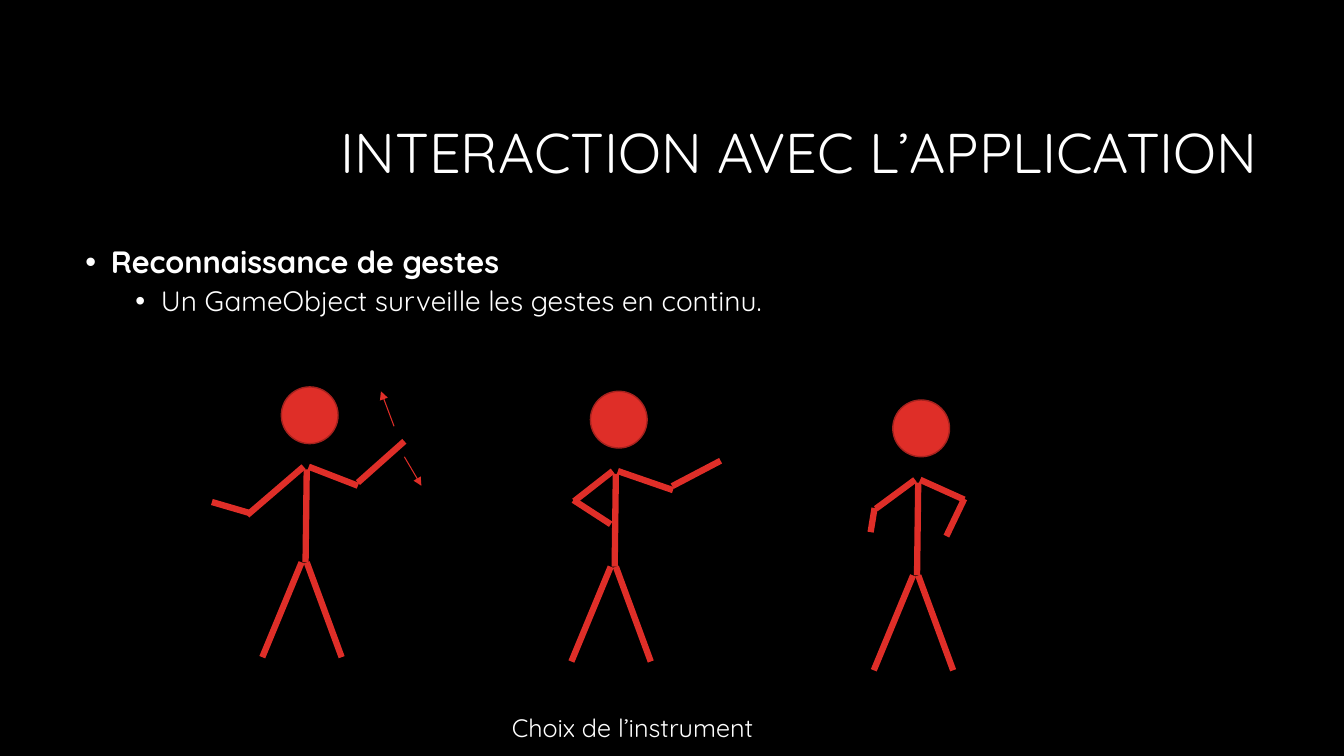
from lxml.etree import SubElement
from pptx import Presentation
from pptx.dml.color import RGBColor
from pptx.enum.shapes import MSO_CONNECTOR, MSO_SHAPE
from pptx.enum.text import MSO_ANCHOR, MSO_AUTO_SIZE, PP_ALIGN
from pptx.oxml.ns import qn
from pptx.util import Cm, Pt

RED = "DF2E28"
DARK_RED = "A5221E"


def write(paragraph, text, size, bold=False, align=PP_ALIGN.LEFT, line_spacing=1.0,
          space_before=0, bullet_indent=None):
    """Fill a paragraph; bullet_indent is the left margin in cm of a bulleted one."""
    run = paragraph.add_run()
    run.text = text
    run.font.name = "Quicksand"
    run.font.size = Pt(size)
    run.font.bold = bold
    run.font.color.rgb = RGBColor.from_string("FFFFFF")
    paragraph.alignment = align
    paragraph.line_spacing = line_spacing
    paragraph.space_before = Pt(space_before)
    if bullet_indent is not None:
        properties = paragraph._p.get_or_add_pPr()
        properties.set("marL", str(Cm(bullet_indent)))
        properties.set("indent", str(-Cm(0.64)))
        SubElement(properties, qn("a:buFont"), typeface="Arial")
        SubElement(properties, qn("a:buChar"), char="•")


def draw_line(start, end, width=4.5, arrow=False, origin=(0, 0)):
    """Join two points given in cm from the origin."""
    left, top = origin
    connector = slide.shapes.add_connector(
        MSO_CONNECTOR.STRAIGHT, Cm(left + start[0]), Cm(top + start[1]),
        Cm(left + end[0]), Cm(top + end[1]))
    connector.line.color.rgb = RGBColor.from_string(RED)
    connector.line.width = Pt(width)
    if arrow:
        SubElement(connector.line._get_or_add_ln(), qn("a:tailEnd"), type="triangle")
    SubElement(connector._element.spPr, qn("a:effectLst"))


presentation = Presentation()
presentation.slide_width = Cm(33.87)
presentation.slide_height = Cm(19.05)
slide = presentation.slides.add_slide(presentation.slide_layouts[1])
slide.background.fill.solid()
slide.background.fill.fore_color.rgb = RGBColor.from_string("000000")

# Title and list
title, body = slide.placeholders
title.left, title.top, title.width, title.height = Cm(6.5), Cm(2.13), Cm(25.45), Cm(3.58)
body.left, body.top, body.width, body.height = Cm(1.9), Cm(6.1), Cm(30.05), Cm(11.18)
for placeholder, anchor in ((title, MSO_ANCHOR.MIDDLE), (body, MSO_ANCHOR.TOP)):
    placeholder.text_frame.auto_size = MSO_AUTO_SIZE.NONE
    placeholder.text_frame.vertical_anchor = anchor

write(title.text_frame.paragraphs[0], "INTERACTION AVEC L’APPLICATION", 40,
      align=PP_ALIGN.RIGHT, line_spacing=0.9)
write(body.text_frame.paragraphs[0], "Reconnaissance de gestes", 22, bold=True,
      line_spacing=0.9, space_before=10, bullet_indent=0.64)
detail = body.text_frame.add_paragraph()
detail.level = 1
write(detail, "Un GameObject surveille les gestes en continu.", 20,
      line_spacing=0.9, space_before=5, bullet_indent=1.9)

# Stick figures: all points are measured from the top left of the head
HEAD_SIZE = 1.43
LEFT_SHOULDER, RIGHT_SHOULDER = (0.56, 2.01), (0.69, 2.01)
LEGS_AND_TRUNK = [
    ((-0.48, 6.81), (0.51, 4.42)),
    ((1.52, 6.81), (0.64, 4.42)),
    ((0.61, 4.42), (0.64, 2.08)),
]
# Head position, then elbow, forearm start and hand of the left and right arms
FIGURES = [
    ((7.09, 9.75), ((-0.86, 3.23), (-0.79, 3.18), (-1.75, 2.9)),
     ((1.93, 2.49), (1.93, 2.41), (3.1, 1.37))),
    ((14.88, 9.86), ((-0.41, 2.77), (-0.43, 2.74), (0.51, 3.35)),
     ((2.08, 2.49), (2.06, 2.39), (3.28, 1.75))),
    ((22.5, 10.08), ((-0.43, 2.74), (-0.46, 2.72), (-0.56, 3.33)),
     ((1.8, 2.51), (1.8, 2.49), (1.35, 3.43))),
]
for head_position, left_arm, right_arm in FIGURES:
    limbs = list(LEGS_AND_TRUNK)
    for shoulder, (elbow, forearm, hand) in ((LEFT_SHOULDER, left_arm),
                                             (RIGHT_SHOULDER, right_arm)):
        limbs += [(elbow, shoulder), (forearm, hand)]
    for start, end in limbs:
        draw_line(start, end, origin=head_position)
    head = slide.shapes.add_shape(MSO_SHAPE.OVAL, Cm(head_position[0]), Cm(head_position[1]),
                                  Cm(HEAD_SIZE), Cm(HEAD_SIZE))
    head.shadow.inherit = False
    head.fill.solid()
    head.fill.fore_color.rgb = RGBColor.from_string(RED)
    head.line.color.rgb = RGBColor.from_string(DARK_RED)
    head.line.width = Pt(1)

# Waving movement of the first figure's hand
for start, end in (((9.93, 10.74), (9.6, 9.86)), ((10.19, 11.51), (10.62, 12.24))):
    draw_line(start, end, width=0.75, arrow=True)

caption = slide.shapes.add_textbox(Cm(12.65), Cm(17.83), Cm(7.06), Cm(1.02))
caption.text_frame.word_wrap = False
caption.text_frame.auto_size = MSO_AUTO_SIZE.SHAPE_TO_FIT_TEXT
write(caption.text_frame.paragraphs[0], "Choix de l’instrument", 18)

presentation.save("out.pptx")
